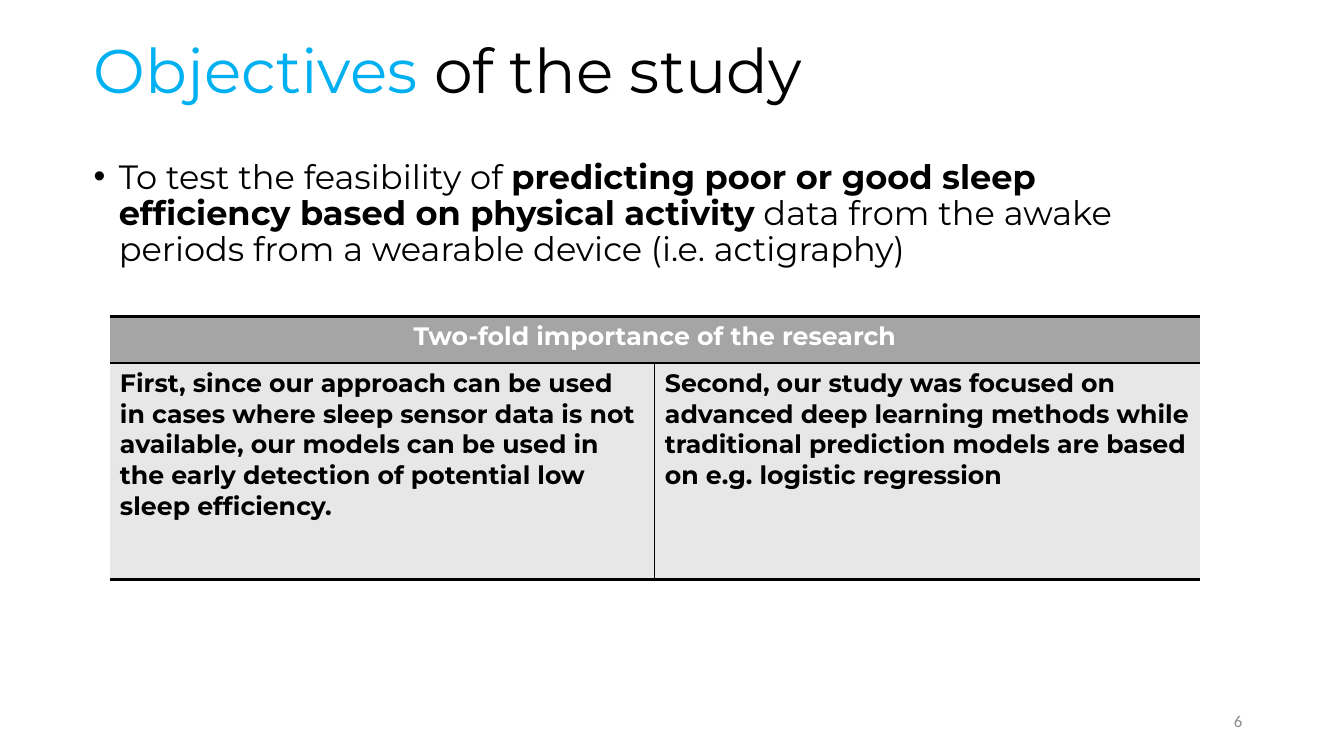
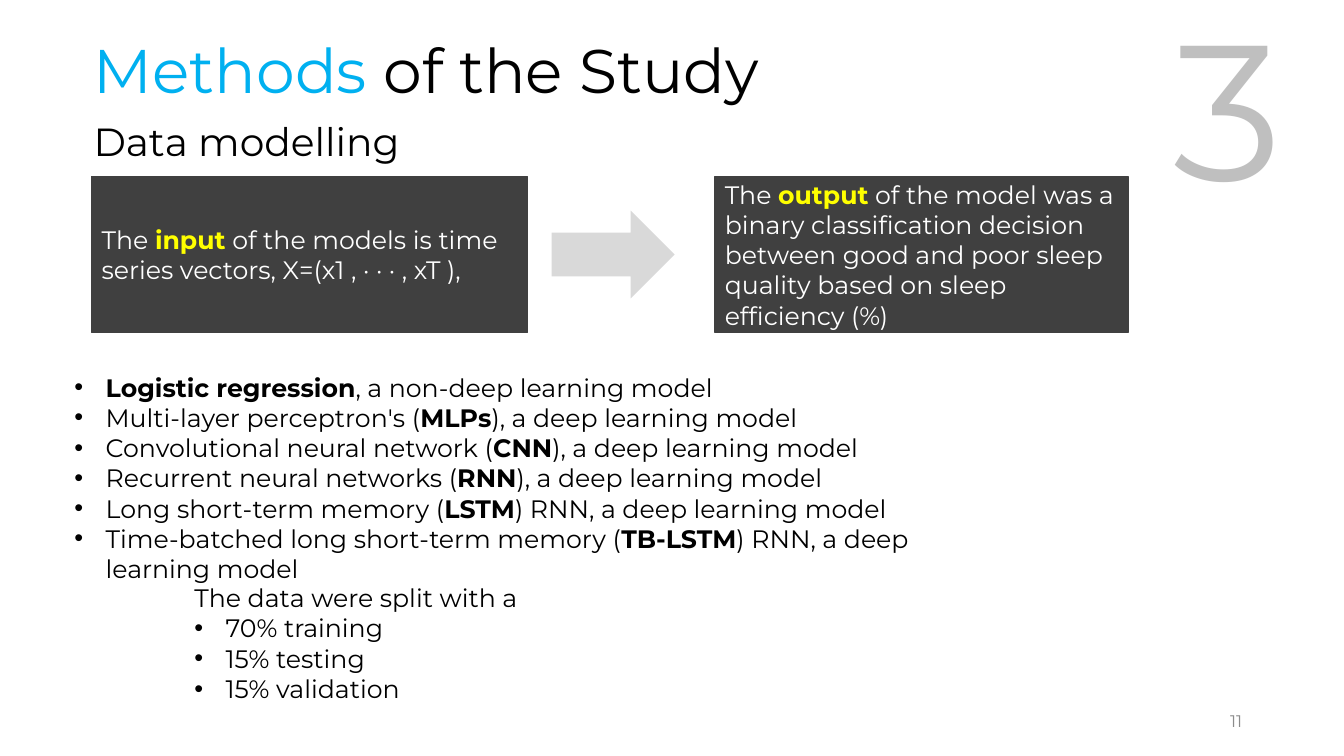
from dataclasses import dataclass

from lxml import etree
from pptx import Presentation
from pptx.dml.color import RGBColor
from pptx.enum.shapes import MSO_SHAPE as Shape
from pptx.enum.text import MSO_ANCHOR as Anchor, MSO_AUTO_SIZE as AutoSize, PP_ALIGN as Align
from pptx.oxml.ns import qn
from pptx.util import Inches, Pt


@dataclass(frozen=True)
class Theme:
    """Colours, fonts and type sizes shared by the slides."""
    black: str = "000000"
    white: str = "FFFFFF"
    accent: str = "00B0F0"
    highlight: str = "FFFF00"
    panel: str = "404040"
    arrow: str = "D9D9D9"
    chapter: str = "BFBFBF"
    footer: str = "8C8C8C"
    header_fill: str = "A5A5A5"
    cell_fill: str = "E7E7E7"
    font: str = "Montserrat"
    number_font: str = "Calibri"
    title_size: int = 44
    subtitle_size: int = 28
    lead_size: int = 24
    text_size: int = 18
    footer_size: int = 12
    chapter_size: int = 138


THEME = Theme()
TITLE_BOX = (0.83, 0, 11.5, 1.45)
FOOTER_BOX = (9.42, 6.95, 3, 0.4)
MODELS = [
    "*Logistic regression*, a non-deep learning model",
    "Multi-layer perceptron's (*MLPs*), a deep learning model",
    "Convolutional neural network (*CNN*), a deep learning model",
    "Recurrent neural networks (*RNN*), a deep learning model",
    "Long short-term memory (*LSTM*) RNN, a deep learning model",
    "Time-batched long short-term memory (*TB-LSTM*) RNN, a deep learning model",
]
SHARES = ["70% training", "15% testing", "15% validation"]


def rgb(color):
    """Turn a hex string into a colour."""
    return RGBColor.from_string(color)


def write(para, text, size, color=THEME.black, strong=None, bold=True, font=THEME.font):
    """Write text whose parts between asterisks take the strong colour and weight."""
    for index, part in enumerate(text.split("*")):
        if not part:
            continue
        marked = index % 2 == 1
        span = para.add_run()
        span.text = part
        span.font.name = font
        span.font.size = Pt(size)
        span.font.bold = marked and bold
        span.font.color.rgb = rgb(strong if marked and strong else color)


def add_bullet(para, indent):
    """Give a paragraph a round bullet with a hanging indent."""
    props = para._p.get_or_add_pPr()
    props.set("marL", str(Inches(indent)))
    props.set("indent", str(-Inches(indent)))
    etree.SubElement(props, qn("a:buFont")).set("typeface", "Arial")
    etree.SubElement(props, qn("a:buChar")).set("char", "•")


def add_text(page, box, lines, size, bullets_from=None, indent=0.31, spacing=None,
             anchor=Anchor.TOP, align=Align.LEFT, wrap=True, **style):
    """Add a text box with one paragraph per line, bulleted from a given line on."""
    frame = page.shapes.add_textbox(*map(Inches, box)).text_frame
    frame.word_wrap = wrap
    frame.vertical_anchor = anchor
    for index, line in enumerate(lines):
        para = frame.add_paragraph() if index else frame.paragraphs[0]
        para.alignment = align
        if spacing:
            para.line_spacing = spacing
        write(para, line, size, **style)
        if bullets_from is not None and index >= bullets_from:
            add_bullet(para, indent)


def add_page(deck, title, number, number_font=THEME.font):
    """Add a title-only slide with its title and page number."""
    page = deck.slides.add_slide(deck.slide_layouts[5])
    holder = page.shapes.title
    holder.left, holder.top, holder.width, holder.height = map(Inches, TITLE_BOX)
    frame = holder.text_frame
    frame.auto_size = AutoSize.NONE
    frame.vertical_anchor = Anchor.MIDDLE
    para = frame.paragraphs[0]
    para.alignment = Align.LEFT
    para.line_spacing = 0.9
    write(para, title, THEME.title_size, strong=THEME.accent, bold=False)
    add_text(page, FOOTER_BOX, [number], THEME.footer_size, anchor=Anchor.MIDDLE,
             align=Align.RIGHT, color=THEME.footer, font=number_font)
    return page


def add_shape(page, kind, box, fill):
    """Add a flat preset shape in a single colour."""
    shape = page.shapes.add_shape(kind, *map(Inches, box))
    shape.shadow.inherit = False
    shape.fill.solid()
    shape.fill.fore_color.rgb = rgb(fill)
    shape.line.fill.background()
    return shape


def add_panel(page, box, text):
    """Add a dark panel with highlighted words."""
    panel = add_shape(page, Shape.RECTANGLE, box, THEME.panel)
    panel.line.color.rgb = rgb(THEME.panel)
    panel.line.width = Pt(1)
    frame = panel.text_frame
    frame.word_wrap = True
    frame.vertical_anchor = Anchor.MIDDLE
    para = frame.paragraphs[0]
    para.alignment = Align.LEFT
    write(para, text, THEME.text_size, THEME.white, THEME.highlight)


def set_borders(cell, **widths):
    """Draw the named cell edges in black and clear the others."""
    props = cell._tc.get_or_add_tcPr()
    for index, edge in enumerate("LRTB"):
        line = etree.Element(qn(f"a:ln{edge}"))
        if edge in widths:
            line.set("w", str(Pt(widths[edge])))
            fill = etree.SubElement(line, qn("a:solidFill"))
            etree.SubElement(fill, qn("a:srgbClr")).set("val", THEME.black)
        else:
            etree.SubElement(line, qn("a:noFill"))
        props.insert(index, line)


def fill_cell(cell, fill, **widths):
    """Set the background and the edges of a cell."""
    cell.fill.solid()
    cell.fill.fore_color.rgb = rgb(fill)
    set_borders(cell, **widths)


def add_reasons(page, box, heading, reasons):
    """Add a table with a merged heading above one column per reason."""
    left, top, width, height = box
    header_height = 0.46
    table = page.shapes.add_table(2, len(reasons), *map(Inches, box)).table
    table.first_row = table.horz_banding = False
    table.rows[0].height = Inches(header_height)
    table.rows[1].height = Inches(height - header_height)
    last = len(reasons) - 1
    for column, reason in enumerate(reasons):
        table.columns[column].width = Inches(width / len(reasons))
        fill_cell(table.cell(0, column), THEME.header_fill, T=2, B=2)
        inner = {}
        if column > 0:
            inner["L"] = 1
        if column < last:
            inner["R"] = 1
        body = table.cell(1, column)
        fill_cell(body, THEME.cell_fill, T=2, B=2, **inner)
        write(body.text_frame.paragraphs[0], f"*{reason}*", THEME.text_size)
    header = table.cell(0, 0)
    header.merge(table.cell(0, last))
    para = header.text_frame.paragraphs[0]
    para.alignment = Align.CENTER
    write(para, f"*{heading}*", THEME.text_size, THEME.white)


def add_flow(page, box):
    """Add the input panel, the arrow and the output panel from left to right."""
    left, top, width, height = box
    output_width = 4.1
    arrow_height = 0.87
    add_panel(page, (left, top, 4.32, height),
              "The *input* of the models is time series vectors, X=(x1 , · · · , xT ),")
    add_panel(page, (left + width - output_width, top, output_width, height),
              "The *output* of the model was a binary classification decision "
              "between good and poor sleep quality based on sleep efficiency (%)")
    add_shape(page, Shape.RIGHT_ARROW,
              (left + 4.56, top + (height - arrow_height) / 2, 1.22, arrow_height), THEME.arrow)


def build_objectives(deck):
    """Build the slide on the objectives."""
    page = add_page(deck, "*Objectives* of the study", "6", THEME.number_font)
    add_text(page, (0.83, 1.54, 11.07, 1.25),
             ["To test the feasibility of *predicting poor or good sleep efficiency based on "
              "physical activity* data from the awake periods from a wearable device "
              "(i.e. actigraphy)"],
             THEME.lead_size, bullets_from=0, indent=0.25, spacing=0.9)
    add_reasons(page, (1.09, 3.14, 10.81, 2.61), "Two-fold importance of the research", [
        "First, since our approach can be used in cases where sleep sensor data is not "
        "available, our models can be used in the early detection of potential low sleep "
        "efficiency.",
        "Second, our study was focused on advanced deep learning methods while traditional "
        "prediction models are based on e.g. logistic regression",
    ])


def build_methods(deck):
    """Build the slide on data modelling."""
    page = add_page(deck, "*Methods* of the Study", "11")
    add_text(page, (11.54, -0.17, 1.29, 2.42), ["3"], THEME.chapter_size,
             wrap=False, color=THEME.chapter)
    add_text(page, (0.83, 0.7, 11.5, 1.45), ["Data modelling"], THEME.subtitle_size,
             spacing=0.9, anchor=Anchor.MIDDLE)
    add_text(page, (0.64, 3.64, 8.87, 2.22), MODELS, THEME.text_size, bullets_from=0)
    add_text(page, (1.83, 5.73, 10.27, 1.31), ["The data were split with a", *SHARES],
             THEME.text_size, bullets_from=1)
    add_flow(page, (0.91, 1.75, 10.28, 1.55))


def main():
    """Build and save the deck."""
    deck = Presentation()
    deck.slide_width, deck.slide_height = Inches(13.33), Inches(7.5)
    build_objectives(deck)
    build_methods(deck)
    deck.save("out.pptx")


if __name__ == "__main__":
    main()
